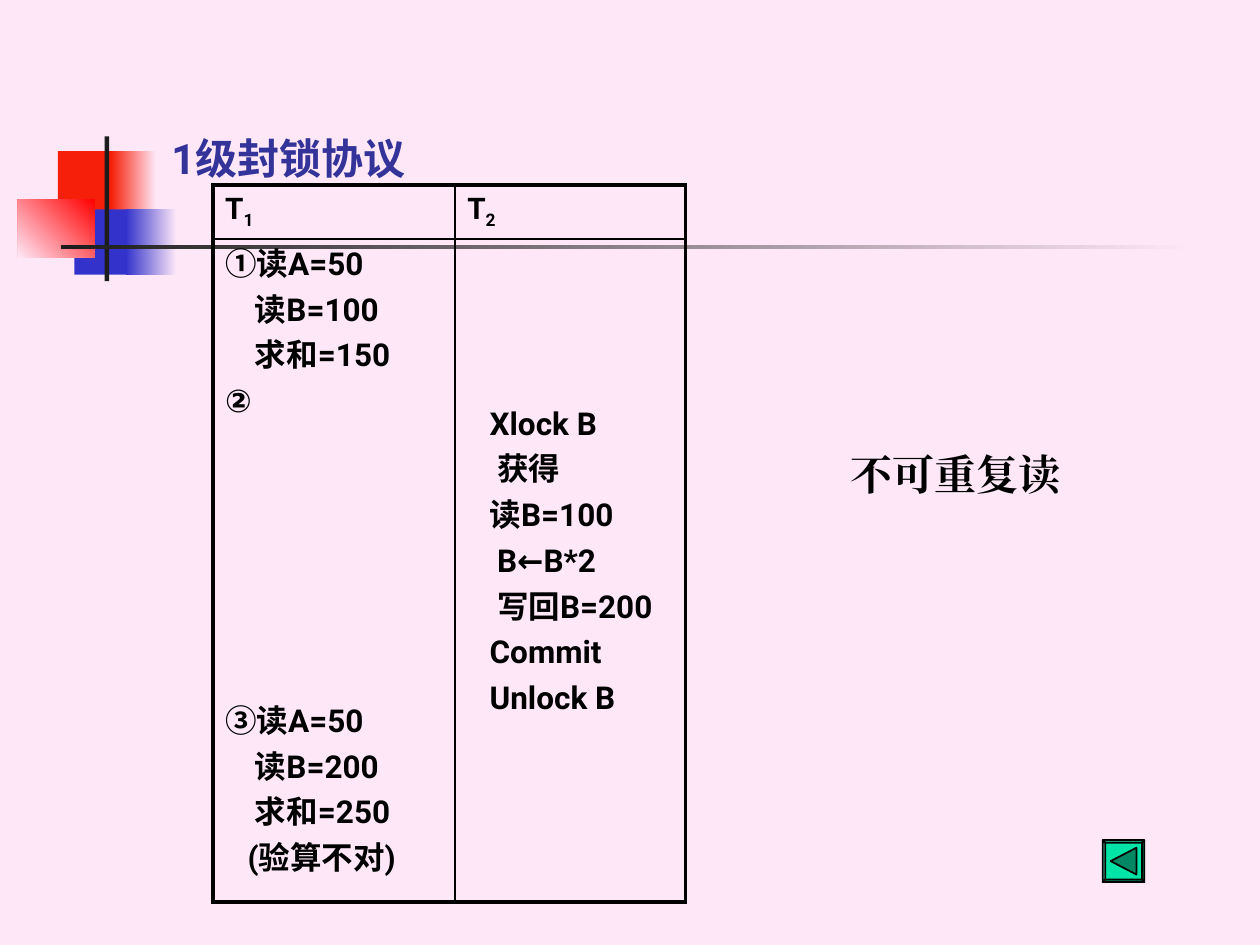
from copy import deepcopy

from lxml import etree
from pptx import Presentation
from pptx.dml.color import RGBColor
from pptx.enum.shapes import MSO_SHAPE
from pptx.enum.text import MSO_ANCHOR, MSO_AUTO_SIZE, PP_ALIGN
from pptx.oxml.ns import qn
from pptx.util import Cm, Pt

RECT = MSO_SHAPE.RECTANGLE
TOP, MIDDLE, BOTTOM = MSO_ANCHOR.TOP, MSO_ANCHOR.MIDDLE, MSO_ANCHOR.BOTTOM
LEFT, CENTER = PP_ALIGN.LEFT, PP_ALIGN.CENTER
FIXED = MSO_AUTO_SIZE.NONE

PINK = RGBColor(0xFE, 0xE8, 0xF7)
ORANGE = RGBColor(0xF6, 0x20, 0x0A)
RED = RGBColor(0xFF, 0x00, 0x00)
BLUE = RGBColor(0x33, 0x33, 0xCC)
NAVY = RGBColor(0x33, 0x33, 0x99)
COAL = RGBColor(0x1C, 0x1C, 0x1C)
BLACK = RGBColor(0x00, 0x00, 0x00)
GREEN = RGBColor(0x00, 0xE4, 0xA8)

BODY = "Roboto"
SERIF = "Times New Roman"
STEP = 0.15   # indent unit in cm
LINE = 21.6   # line height in points
GAP = 4.5     # space before a line in points
SKIP = GAP + 6 * (LINE + GAP)  # six lines pass in the other column

# text, indent units, space before in points
READS = [
    ("①读A=50", 0, GAP), ("读B=100", 4, GAP), ("求和=150", 4, GAP),
    ("②", 0, GAP), ("③读A=50", 0, SKIP), ("读B=200", 4, GAP),
    ("求和=250", 4, GAP), ("(验算不对)", 3, GAP),
]
WRITES = [
    ("Xlock B", 3, GAP), ("获得", 4, GAP), ("读B=100", 3, GAP),
    ("B←B*2", 4, GAP), ("写回B=200", 4, GAP), ("Commit", 3, GAP),
    ("Unlock B", 3, GAP),
]


def style(item, **values):
    for name, value in values.items():
        setattr(item, name, value)


def write(para, text, size, color=BLACK, face=BODY):
    """Add one bold run, with the same face for Latin and Chinese."""
    run = para.add_run()
    run.text = text
    style(run.font, size=Pt(size), name=face, bold=True)
    run.font.color.rgb = color
    etree.SubElement(run.font._element, qn("a:ea"), typeface=face)
    return run


def block(slide, box, *colors, angle=180):
    """Add a plain rectangle, or a faded one when two colours are given."""
    shape = slide.shapes.add_shape(RECT, *map(Cm, box))
    shape.shadow.inherit = False
    shape.line.fill.background()
    if len(colors) == 1:
        shape.fill.solid()
        shape.fill.fore_color.rgb = colors[0]
        return
    shape.fill.gradient()
    shape.fill.gradient_angle = angle
    for stop, color in zip(shape.fill.gradient_stops, colors):
        stop.color.rgb = color


def add_motif(slide, x, y):
    """Place the overlapping squares and the crossing bars."""
    parts = [
        ((0.81, 0.3, 1.22, 1.32), (ORANGE,), 180),
        ((1.88, 0.3, 0.91, 1.32), (PINK, ORANGE), 180),
        ((1.14, 1.47, 1.17, 1.32), (BLUE,), 180),
        ((2.18, 1.47, 1.02, 1.32), (PINK, BLUE), 180),
        ((0, 1.27, 1.55, 1.17), (RED, PINK), 225),
        ((1.75, 0, 0.09, 2.92), (COAL,), 180),
        ((0.87, 2.19, 22.86, 0.09), (PINK, COAL), 180),
    ]
    for (left, top, wide, high), colors, angle in parts:
        block(slide, (x + left, y + top, wide, high), *colors, angle=angle)


def add_title(slide, x, y, wide, high):
    title = slide.shapes.title
    style(title, left=Cm(x), top=Cm(y), width=Cm(wide), height=Cm(high))
    style(title.text_frame, vertical_anchor=BOTTOM, auto_size=FIXED)
    para = title.text_frame.paragraphs[0]
    para.alignment = LEFT
    write(para, "1级封锁协议", 24, NAVY)


def set_edges(cell, **widths):
    """Draw the cell borders; each side has a width in points."""
    props = cell._tc.get_or_add_tcPr()
    for side in "LRTB":
        edge = etree.SubElement(props, qn(f"a:ln{side}"), w=str(Pt(widths[side])))
        fill = etree.SubElement(edge, qn("a:solidFill"))
        etree.SubElement(fill, qn("a:srgbClr"), val=str(BLACK))


def fill_head(cell, digit):
    para = cell.text_frame.paragraphs[0]
    style(para, line_spacing=0.9, space_before=Pt(5))
    write(para, "T", 17)
    low = write(para, digit, 17)
    low.font._element.set("baseline", "-25000")


def fill_steps(cell, steps):
    frame = cell.text_frame
    for i, (text, indent, space) in enumerate(steps):
        para = frame.add_paragraph() if i else frame.paragraphs[0]
        style(para, line_spacing=Pt(LINE), space_before=Pt(space))
        para._p.get_or_add_pPr().set("marL", str(Cm(indent * STEP)))
        write(para, text, 18)


def add_grid(slide, x, y, wide, high):
    """Place the schedule of the two transactions."""
    frame = slide.shapes.add_table(2, 2, Cm(x), Cm(y), Cm(wide), Cm(high))
    table = frame.table
    style(table, first_row=False, horz_banding=False)
    first, head = 4.88, 1.09
    for col, size in zip(table.columns, (first, wide - first)):
        col.width = Cm(size)
    for row, size in zip(table.rows, (head, high - head)):
        row.height = Cm(size)
    for r in range(2):
        for c in range(2):
            cell = table.cell(r, c)
            style(cell, vertical_anchor=TOP, margin_left=Cm(0.25),
                  margin_right=Cm(0.25), margin_top=Cm(0.13),
                  margin_bottom=Cm(0.13))
            set_edges(cell, L=1 if c else 2.25, R=2.25 if c else 1,
                      T=1 if r else 2.25, B=2.25 if r else 1)
            cell.fill.background()
    for c, steps in enumerate((READS, WRITES)):
        fill_head(table.cell(0, c), str(c + 1))
        fill_steps(table.cell(1, c), steps)
    table.cell(1, 1).margin_top = Cm(3.35)


def add_note(slide, x, y, wide, high):
    note = slide.shapes.add_textbox(Cm(x), Cm(y), Cm(wide), Cm(high))
    style(note.text_frame, word_wrap=False, vertical_anchor=MIDDLE)
    para = note.text_frame.paragraphs[0]
    para.alignment = CENTER
    write(para, "不可重复读", 24, face=SERIF)


def add_button(slide, x, y, side):
    """Place a bevelled back button whose faces are paths of one outline."""
    rim = 0.05
    far = side - rim
    outer = [(0, 0), (side, 0), (side, side), (0, side)]
    inner = [(rim, rim), (far, rim), (far, far), (rim, far)]
    faces = [outer]
    for i in range(4):
        j = (i + 1) % 4
        faces.append([outer[i], outer[j], inner[j], inner[i]])
    faces.append([(0.16, side / 2), (0.68, 0.15), (0.68, side - 0.15)])
    shades = ["norm", "lightenLess", "darkenLess", "darken", "lighten", "darken"]

    build = None
    for face in faces:
        points = [(Cm(x + a), Cm(y + b)) for a, b in face]
        if build is None:
            build = slide.shapes.build_freeform(*points[0])
        else:
            build.move_to(*points[0])
        build.add_line_segments(points[1:], close=True)
    shape = build.convert_to_shape()
    shape.shadow.inherit = False
    shape.fill.solid()
    shape.fill.fore_color.rgb = GREEN
    shape.line.color.rgb = BLACK
    shape.line.width = Pt(1)

    whole = shape._element.find(".//" + qn("a:path"))
    blank = deepcopy(whole)
    for part in list(blank):
        blank.remove(part)
    paths = []
    for part in list(whole):
        if part.tag == qn("a:moveTo"):
            paths.append(deepcopy(blank))
        paths[-1].append(part)
    holder = whole.getparent()
    holder.remove(whole)
    for outline, shade in zip(paths, shades):
        outline.set("fill", shade)
        holder.append(outline)


def main():
    deck = Presentation()
    style(deck, slide_width=Cm(25.4), slide_height=Cm(19.05))
    slide = deck.slides.add_slide(deck.slide_layouts[5])
    slide.background.fill.solid()
    slide.background.fill.fore_color.rgb = PINK
    add_motif(slide, 0.36, 2.75)
    add_title(slide, 3.2, 1.7, 21.64, 2.11)
    add_grid(slide, 4.29, 3.73, 9.53, 14.45)
    add_note(slide, 15.67, 8.69, 7.19, 1.7)
    add_button(slide, 22.23, 16.94, 0.84)
    deck.save("out.pptx")


if __name__ == "__main__":
    main()
